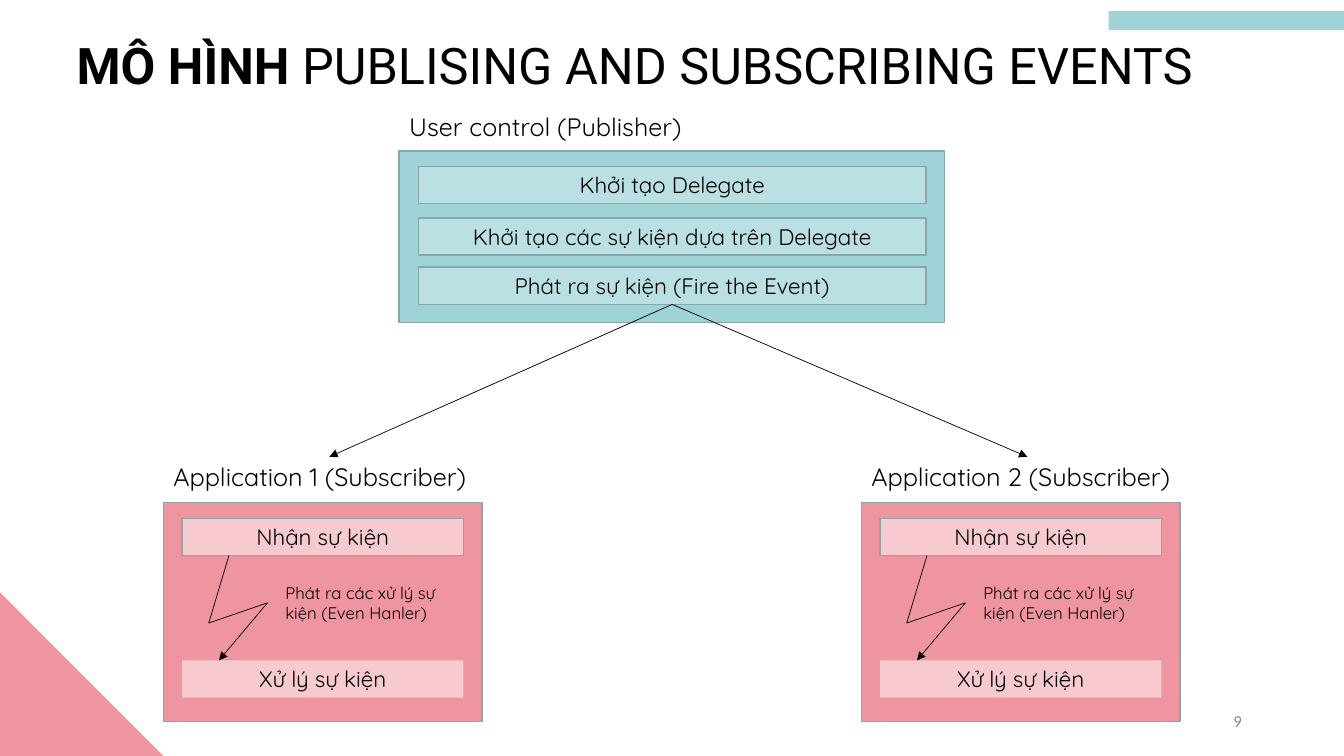
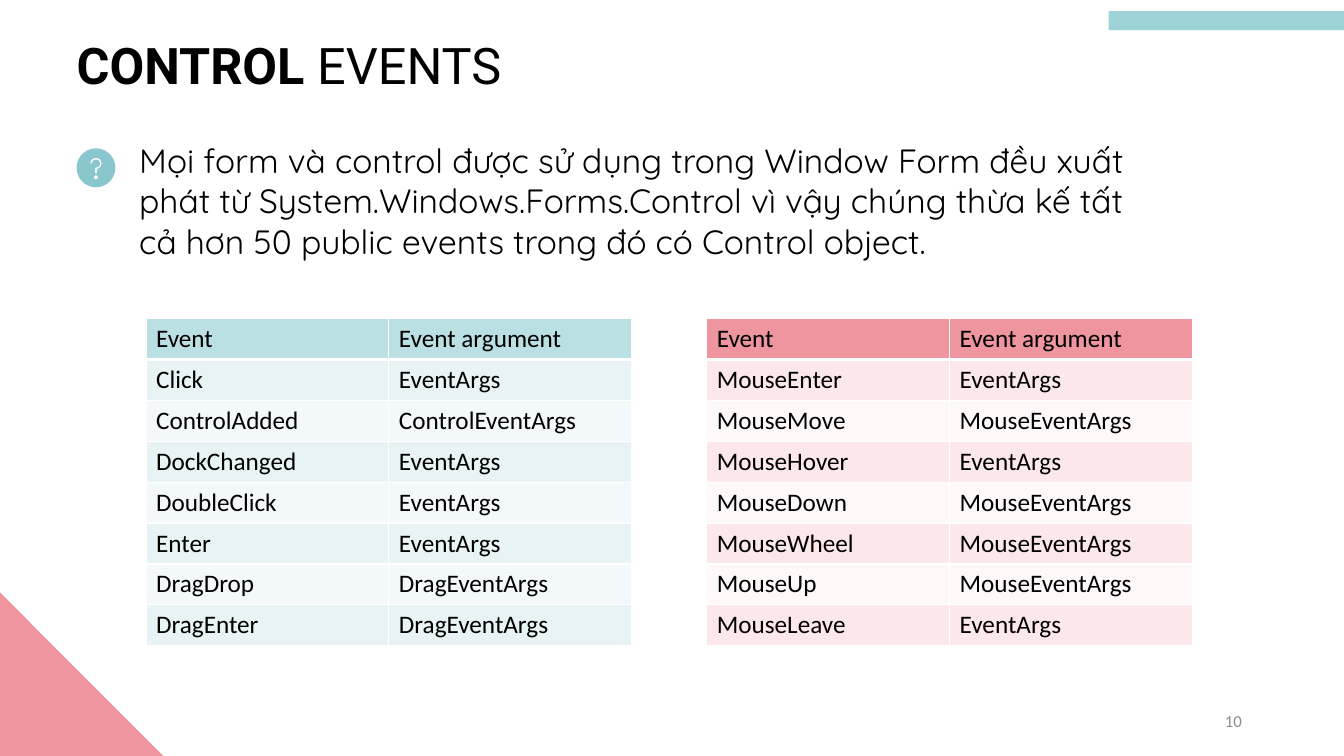
"""Builds two slides on publishing, subscribing and control events."""
from math import cos, radians, sin

from lxml.etree import SubElement
from pptx import Presentation
from pptx.dml.color import RGBColor
from pptx.enum.shapes import MSO_CONNECTOR, MSO_SHAPE
from pptx.enum.text import MSO_ANCHOR, PP_ALIGN
from pptx.oxml.ns import qn
from pptx.util import Cm, Pt

COLORS = {
    "black": "000000", "white": "FFFFFF", "gray": "8C8C8C", "outline": "8AA6A8",
    "teal": "9ED3D7", "teal_light": "BBE0E3", "teal_icon": "8AC6CD",
    "teal_band": "E7F3F4", "teal_pale": "F3F9FA",
    "pink": "EF95A0", "pink_light": "F7CAD0", "pink_band": "FCE8EB", "pink_pale": "FEF8F9",
}
FORMATS = {
    "title": {"name": "Roboto", "size": Pt(36)},
    "body": {"name": "Quicksand", "size": Pt(24)},
    "label": {"name": "Quicksand", "size": Pt(18)},
    "bar": {"name": "Quicksand", "size": Pt(16)},
    "note": {"name": "Quicksand", "size": Pt(12)},
    "cell": {"name": "Calibri", "size": Pt(18)},
    "number": {"name": "Calibri", "size": Pt(12)},
}
EVENT_TABLES = [
    (3.68, ("teal_light", "teal_band", "teal_pale"), [
        ("Event", "Event argument"), ("Click", "EventArgs"),
        ("ControlAdded", "ControlEventArgs"), ("DockChanged", "EventArgs"),
        ("DoubleClick", "EventArgs"), ("Enter", "EventArgs"),
        ("DragDrop", "DragEventArgs"), ("DragEnter", "DragEventArgs")]),
    (17.81, ("pink", "pink_band", "pink_pale"), [
        ("Event", "Event argument"), ("MouseEnter", "EventArgs"),
        ("MouseMove", "MouseEventArgs"), ("MouseHover", "EventArgs"),
        ("MouseDown", "MouseEventArgs"), ("MouseWheel", "MouseEventArgs"),
        ("MouseUp", "MouseEventArgs"), ("MouseLeave", "EventArgs")]),
]


def color(name):
    return RGBColor.from_string(COLORS[name])


def arc(x, y, radius, start, end):
    step = 10 if end > start else -10
    return [(x + radius * cos(radians(angle)), y + radius * sin(radians(angle)))
            for angle in range(start, end + step, step)]


class Deck:
    def __init__(self):
        self.presentation = Presentation()
        self.presentation.slide_width = Cm(33.87)
        self.presentation.slide_height = Cm(19.05)
        self.slide = None

    def start_slide(self, bold_title, title, number):
        self.slide = self.presentation.slides.add_slide(self.presentation.slide_layouts[6])
        self.shape(0, 14.93, 4.12, 4.12, "pink", kind=MSO_SHAPE.RIGHT_TRIANGLE)
        self.shape(27.94, 0.28, 5.93, 0.48, "teal")
        frame = self.text(1.93, 0.86, 30.02, 1.55, bold_title, "title", inset=False)
        paragraph = frame.paragraphs[0]
        paragraph.runs[0].font.bold = True
        self.format(paragraph.add_run(), title, "title")
        frame = self.text(23.93, 17.65, 7.62, 1.02, number, "number", "gray")
        frame.vertical_anchor = MSO_ANCHOR.MIDDLE
        frame.paragraphs[0].alignment = PP_ALIGN.RIGHT

    def format(self, run, text, style, ink="black"):
        run.text = text
        for attribute, value in FORMATS[style].items():
            setattr(run.font, attribute, value)
        run.font.color.rgb = color(ink)

    def paint(self, shape, fill, line=None):
        shape.shadow.inherit = False
        shape.fill.solid()
        shape.fill.fore_color.rgb = color(fill)
        if line:
            shape.line.color.rgb = color(line)
            shape.line.width = Pt(1)
        else:
            shape.line.fill.background()

    def shape(self, left, top, width, height, fill, line=None, kind=MSO_SHAPE.RECTANGLE):
        shape = self.slide.shapes.add_shape(kind, Cm(left), Cm(top), Cm(width), Cm(height))
        self.paint(shape, fill, line)
        return shape

    def bar(self, left, top, width, text, fill, line="outline"):
        frame = self.shape(left, top, width, 0.94, fill, line).text_frame
        frame.word_wrap = True
        frame.vertical_anchor = MSO_ANCHOR.MIDDLE
        paragraph = frame.paragraphs[0]
        paragraph.alignment = PP_ALIGN.CENTER
        self.format(paragraph.add_run(), text, "bar")

    def text(self, left, top, width, height, text, style, ink="black", inset=True):
        box = self.slide.shapes.add_textbox(Cm(left), Cm(top), Cm(width), Cm(height))
        frame = box.text_frame
        frame.word_wrap = True
        if not inset:
            for side in ("left", "top", "right", "bottom"):
                setattr(frame, f"margin_{side}", 0)
        self.format(frame.paragraphs[0].add_run(), text, style, ink)
        return frame

    def line(self, start, end, arrow=False):
        points = [Cm(value) for value in (*start, *end)]
        connector = self.slide.shapes.add_connector(MSO_CONNECTOR.STRAIGHT, *points)
        connector.line.color.rgb = color("black")
        connector.line.width = Pt(0.5)
        if arrow:
            SubElement(connector.line._get_or_add_ln(), qn("a:tailEnd"), type="triangle")
        SubElement(connector._element.spPr, qn("a:effectLst"))

    def outline(self, contours, fill):
        scaled = [[(Cm(x), Cm(y)) for x, y in contour] for contour in contours]
        builder = self.slide.shapes.build_freeform(*scaled[0][0])
        for contour in scaled:
            builder.move_to(*contour[0])
            builder.add_line_segments(contour[1:], close=True)
        self.paint(builder.convert_to_shape(), fill)

    def table(self, left, top, column_width, row_height, rows, fills):
        columns = len(rows[0])
        table = self.slide.shapes.add_table(
            len(rows), columns, Cm(left), Cm(top),
            Cm(column_width * columns), Cm(row_height * len(rows))).table
        for row_index, row in enumerate(rows):
            table.rows[row_index].height = Cm(row_height)
            fill = fills[0] if row_index == 0 else fills[2 - row_index % 2]
            for column_index, text in enumerate(row):
                cell = table.cell(row_index, column_index)
                self.borders(cell, row_index)
                cell.fill.solid()
                cell.fill.fore_color.rgb = color(fill)
                self.format(cell.text_frame.paragraphs[0].add_run(), text, "cell")
        for column in table.columns:
            column.width = Cm(column_width)

    def borders(self, cell, row_index):
        properties = cell._tc.get_or_add_tcPr()
        heavy_side = {0: "B", 1: "T"}.get(row_index)
        for side in "LRTB":
            width = Pt(3 if side == heavy_side else 1)
            border = SubElement(properties, qn(f"a:ln{side}"), w=str(width))
            SubElement(SubElement(border, qn("a:solidFill")), qn("a:srgbClr"), val=COLORS["white"])

    def subscriber(self, left, number):
        self.text(left, 11.51, 8.33, 1.02, f"Application {number} (Subscriber)", "label")
        self.shape(left, 12.67, 8.03, 5.51, "pink", "outline")
        self.bar(left + 0.47, 13.06, 7.09, "Nhận sự kiện", "pink_light")
        self.bar(left + 0.47, 16.64, 7.09, "Xử lý sự kiện", "pink_light", None)
        zigzag = [(left + 1.65, 14), (left + 1.14, 15.7), (left + 2.62, 15.19), (left + 1.4, 16.64)]
        for index, (start, end) in enumerate(zip(zigzag, zigzag[1:])):
            self.line(start, end, arrow=index == 2)
        self.text(left + 2.82, 14.55, 4.72, 1.27, "Phát ra các xử lý sự kiện (Even Hanler)", "note")

    def question_icon(self, x, y):
        hook_y = y - 0.11
        stem = [(x + 0.02, y + 0.03), (x + 0.02, y + 0.14), (x - 0.02, y + 0.14), (x - 0.02, y)]
        hook = arc(x, hook_y, 0.14, 180, 440) + stem + arc(x, hook_y, 0.1, 450, 180)
        self.outline([arc(x, y, 0.49, 0, 350), hook, arc(x, y + 0.24, 0.05, 0, 350)], "teal_icon")


def main():
    deck = Deck()

    deck.start_slide("MÔ HÌNH ", "PUBLISING AND SUBSCRIBING EVENTS", "9")
    deck.text(10.06, 2.67, 13.94, 1.02, "User control (Publisher)", "label")
    deck.shape(10.06, 3.81, 13.74, 4.32, "teal", "outline")
    for top, step in [(4.19, "Khởi tạo Delegate"),
                      (5.49, "Khởi tạo các sự kiện dựa trên Delegate"),
                      (6.73, "Phát ra sự kiện (Fire the Event)")]:
        deck.bar(10.54, top, 12.8, step, "teal_light")
    for number, left in enumerate((4.12, 21.71), start=1):
        deck.subscriber(left, number)
        deck.line((16.94, 7.67), (left + 4.18, 11.51), arrow=True)

    deck.start_slide("CONTROL ", "EVENTS", "10")
    deck.question_icon(2.42, 4.23)
    deck.text(3.51, 3.53, 24.87, 3.07,
              "Mọi form và control được sử dụng trong Window Form đều xuất phát từ "
              "System.Windows.Forms.Control vì vậy chúng thừa kế tất cả hơn 50 public events "
              "trong đó có Control object.", "body", inset=False)
    for left, fills, rows in EVENT_TABLES:
        deck.table(left, 8.03, 6.12, 1.03, rows, fills)

    deck.presentation.save("out.pptx")


if __name__ == "__main__":
    main()
